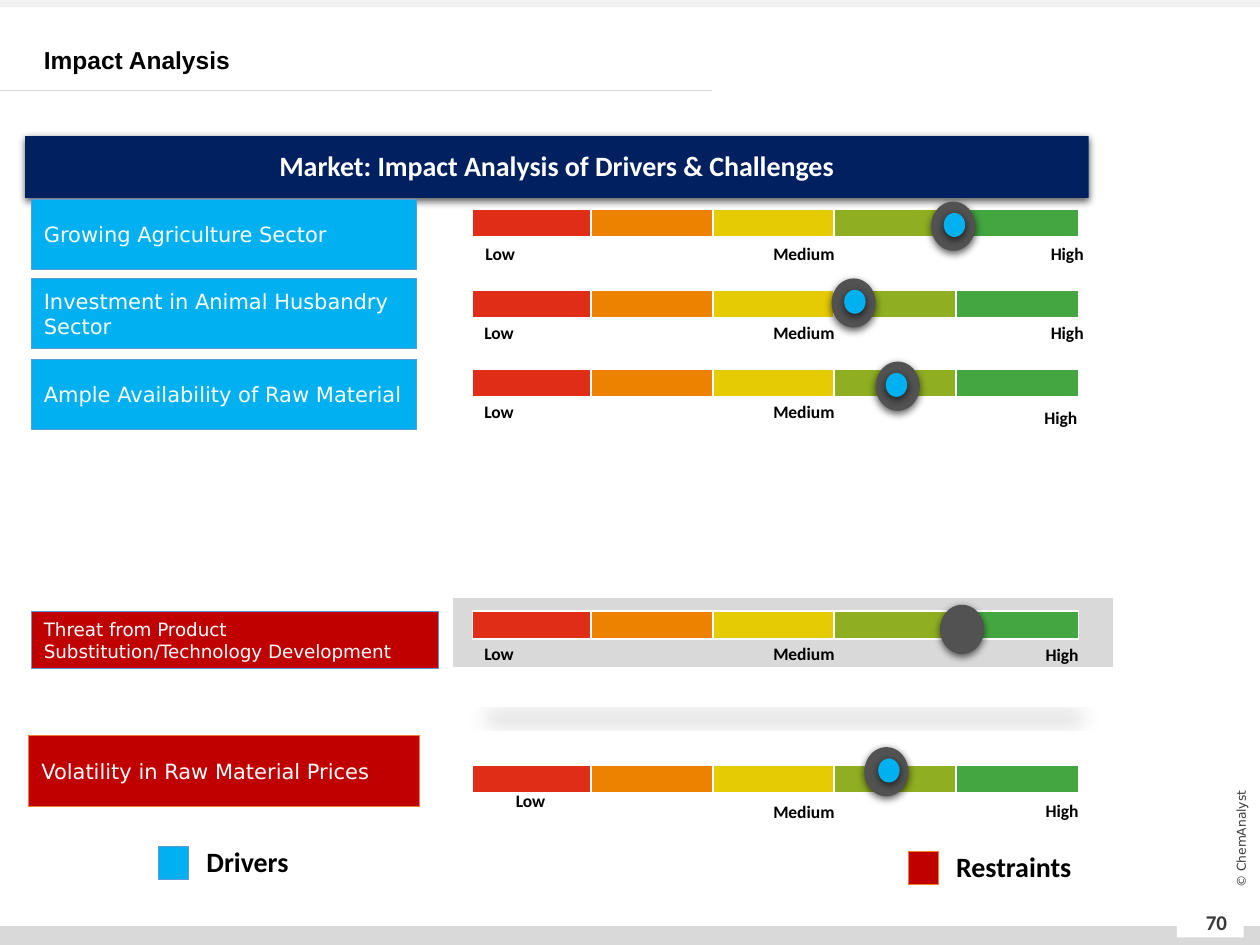
import pptx
import pptx.dml.color
import pptx.enum.shapes
import pptx.enum.text
import pptx.oxml
import pptx.oxml.ns
import pptx.util
from lxml import etree
from pptx.util import Inches

SHAPE = pptx.enum.shapes.MSO_SHAPE
ALIGN = pptx.enum.text.PP_ALIGN
ANCHOR = pptx.enum.text.MSO_ANCHOR

COLORS = {
    "white": "FFFFFF", "black": "000000", "text_gray": "3B3838",
    "gray": "D9D9D9", "light_gray": "F2F2F2", "knob": "525252",
    "navy": "002060", "driver": "00B0F0", "restraint": "C00000",
    "blue_line": "5B9BD5", "orange_line": "ED7D31",
    "low": "E02D17", "low_mid": "ED8200", "mid": "E5CB04",
    "mid_high": "8FAE22", "high": "44A641",
}
SEGMENTS = [(3.75, "low"), (4.69, "low_mid"), (5.66, "mid"),
            (6.62, "mid_high"), (7.59, "high")]

# Bar top, then left and top of the Low, Medium and High labels
SCALES = [
    (1.66, [(3.6, 1.88), (6.01, 1.88), (8.1, 1.88)]),
    (2.3, [(3.59, 2.51), (6.01, 2.51), (8.1, 2.51)]),
    (2.93, [(3.59, 3.13), (6.01, 3.13), (8.05, 3.18)]),
    (4.85, [(3.59, 5.05), (6.01, 5.05), (8.06, 5.06)]),
    (6.07, [(3.84, 6.22), (6.01, 6.31), (8.06, 6.3)]),
]
FACTORS = [
    ("Growing Agriculture Sector", (0.25, 1.58, 3.06, 0.56), "driver", "blue_line", 12),
    ("Investment in Animal Husbandry Sector", (0.25, 2.21, 3.06, 0.56), "driver", "blue_line", 12),
    ("Ample Availability of Raw Material", (0.25, 2.85, 3.06, 0.56), "driver", "blue_line", 12),
    ("Volatility in Raw Material Prices", (0.23, 5.84, 3.1, 0.56), "restraint", "orange_line", 12),
    ("Threat from Product Substitution/Technology Development",
     (0.25, 4.85, 3.23, 0.46), "restraint", "blue_line", 10.5),
]
# Left and top of the knob, then left of its dot (None for no dot)
MARKERS = [(7.39, 1.6, 7.49), (6.6, 2.21, 6.7), (6.95, 2.87, 7.03),
           (7.46, 4.8, None), (6.86, 5.93, 6.97)]


def rgb(name):
    return pptx.dml.color.RGBColor.from_string(COLORS[name])


def add_block(page, place, fill, line=None, line_width=0.5, kind=SHAPE.RECTANGLE):
    block = page.shapes.add_shape(kind, *map(Inches, place))
    block.shadow.inherit = False
    block.fill.solid()
    block.fill.fore_color.rgb = rgb(fill)
    if line:
        block.line.color.rgb = rgb(line)
        block.line.width = pptx.util.Pt(line_width)
    else:
        block.line.fill.background()
    return block


def add_shadow(shape, opacity, blur, distance, **scale):
    """Cast a black shadow downwards; blur and distance are in points."""
    effects = shape._element.spPr.find(pptx.oxml.ns.qn("a:effectLst"))
    shadow = etree.SubElement(
        effects, pptx.oxml.ns.qn("a:outerShdw"),
        blurRad=str(pptx.util.Pt(blur)), dist=str(pptx.util.Pt(distance)),
        dir="5400000", **scale, rotWithShape="0")
    color = etree.SubElement(shadow, pptx.oxml.ns.qn("a:srgbClr"), val=COLORS["black"])
    etree.SubElement(color, pptx.oxml.ns.qn("a:alpha"), val=str(opacity * 1000))


def write(shape, text, size, font="Calibri", color="black", bold=True,
          align=ALIGN.LEFT, anchor=ANCHOR.MIDDLE):
    frame = shape.text_frame
    frame.word_wrap = True
    frame.vertical_anchor = anchor
    frame.text = text
    para = frame.paragraphs[0]
    para.alignment = align
    span = para.runs[0].font
    span.name = font
    span.size = pptx.util.Pt(size)
    span.bold = bold
    span.color.rgb = rgb(color)
    return para


def add_text(page, place, text, size, **style):
    box = page.shapes.add_textbox(*map(Inches, place))
    write(box, text, size, **style)
    return box


def add_page_frame(page):
    add_block(page, (0, 7.35, 10, 0.15), "gray")
    add_block(page, (0, 0, 10, 0.06), "light_gray")
    add_block(page, (9.34, 7.22, 0.53, 0.22), "white")
    rule = page.shapes.add_connector(
        pptx.enum.shapes.MSO_CONNECTOR.STRAIGHT,
        Inches(0), Inches(0.72), Inches(5.65), Inches(0.72))
    rule.line.color.rgb = rgb("gray")
    rule.line.width = pptx.util.Pt(0.5)
    etree.SubElement(rule._element.spPr, pptx.oxml.ns.qn("a:effectLst"))
    add_text(page, (9.41, 7.12, 0.49, 0.4), "70", 12,
             color="text_gray", align=ALIGN.CENTER)
    notice = add_text(page, (9.25, 6.58, 1.2, 0.16), "© ChemAnalyst", 7,
                      font="DejaVu Sans", color="text_gray", bold=False,
                      align=ALIGN.CENTER)
    notice.rotation = 270


def add_headings(page):
    title = add_text(page, (0.25, 0.31, 9.76, 0.32), "Impact Analysis", 14, font="Arial")
    title.text_frame.paragraphs[0].line_spacing = pptx.util.Pt(17)
    banner = add_block(page, (0.2, 1.08, 8.44, 0.49), "navy")
    add_shadow(banner, 63, 4.5, 1.5)
    para = write(banner, "Market: Impact Analysis of Drivers & Challenges", 16,
                 color="white", align=ALIGN.CENTER)
    para.line_spacing = 0.9


def add_legend_entry(page, left, top, text, text_place, fill, line):
    add_block(page, (left, top, 0.24, 0.26), fill, line)
    add_text(page, text_place, text, 16, anchor=ANCHOR.TOP)


def add_scale(page, top, label_places):
    for left, color in SEGMENTS:
        add_block(page, (left, top, 0.97, 0.22), color, "white", 1)
    for text, (left, label_top) in zip(("Low", "Medium", "High"), label_places):
        add_text(page, (left, label_top, 0.74, 0.25), text, 10,
                 align=ALIGN.CENTER, anchor=ANCHOR.TOP)


def add_factor(page, text, place, fill, line, size):
    block = add_block(page, place, fill, line)
    write(block, text, size, font="DejaVu Sans", color="white", bold=False)


def add_marker(page, left, top, dot_left):
    places = [((left, top, 0.35, 0.39), "knob")]
    if dot_left is not None:
        places.append(((dot_left, top + 0.09, 0.17, 0.19), "driver"))
    for place, color in places:
        disc = add_block(page, place, color, kind=SHAPE.OVAL)
        add_shadow(disc, 63, 4.5, 1.5)


def main():
    deck = pptx.Presentation()
    deck.slide_width, deck.slide_height = Inches(10), Inches(7.5)
    page = deck.slides.add_slide(deck.slide_layouts[6])
    add_page_frame(page)
    add_headings(page)
    add_legend_entry(page, 7.21, 6.76, "Restraints", (7.49, 6.69, 1.13, 0.41),
                     "restraint", "orange_line")
    add_legend_entry(page, 1.26, 6.72, "Drivers", (1.54, 6.65, 0.91, 0.42),
                     "driver", "blue_line")
    panel = add_block(page, (3.59, 4.74, 5.25, 0.56), "gray", "white")
    add_shadow(panel, 15, 12, 25, sx="90000", sy="-19000")
    for scale in SCALES:
        add_scale(page, *scale)
    for factor in FACTORS:
        add_factor(page, *factor)
    for marker in MARKERS:
        add_marker(page, *marker)
    deck.save("out.pptx")


if __name__ == "__main__":
    main()
